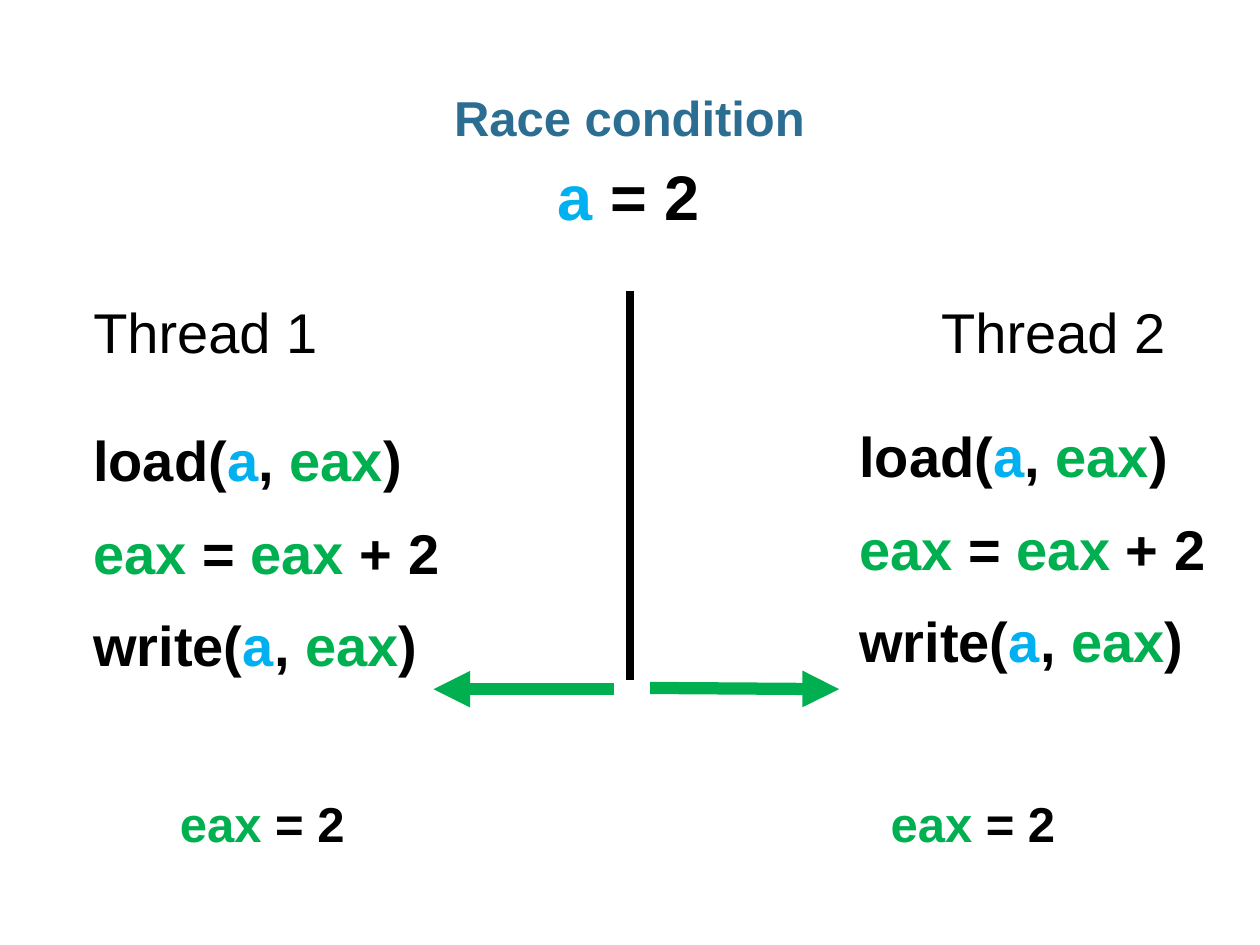
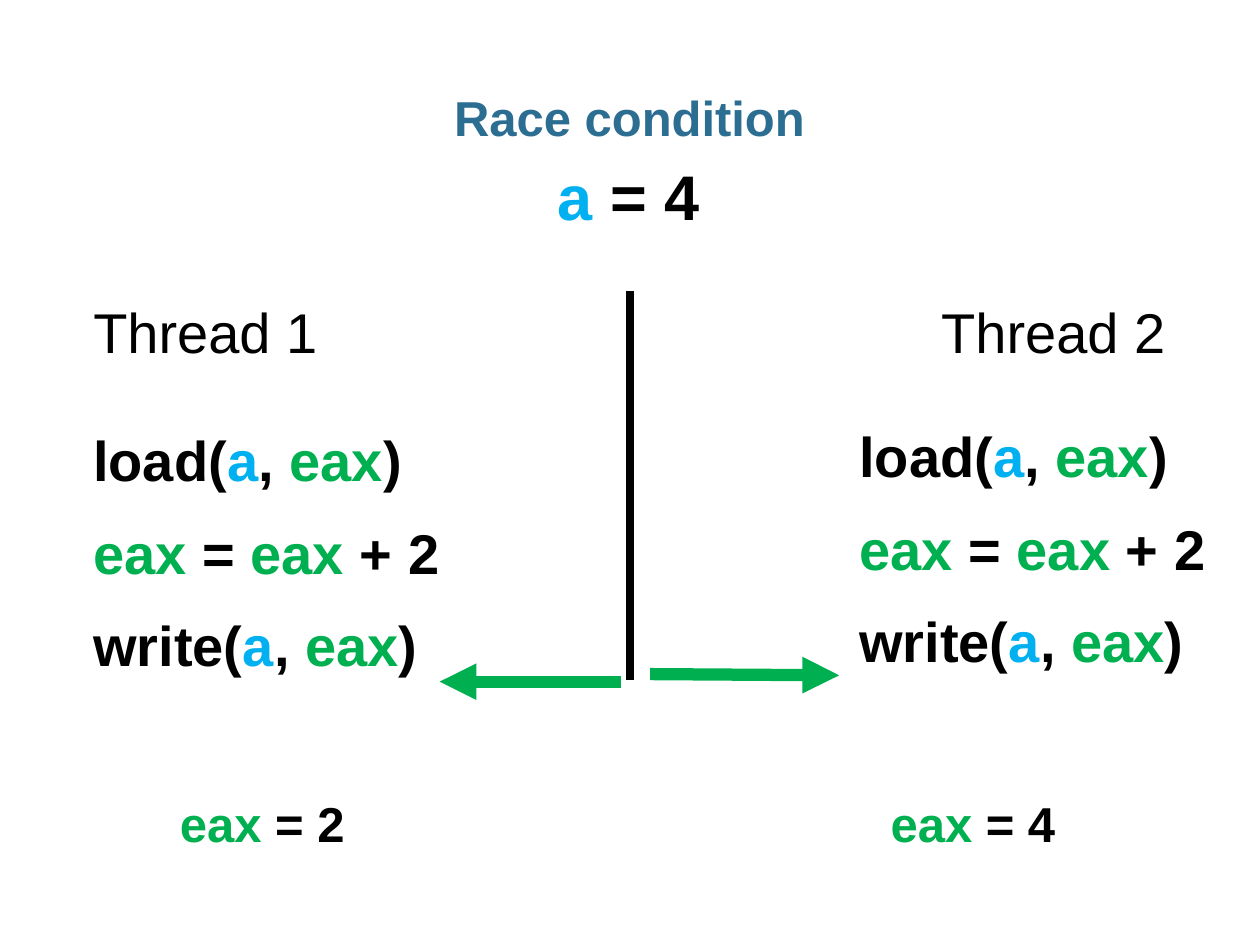
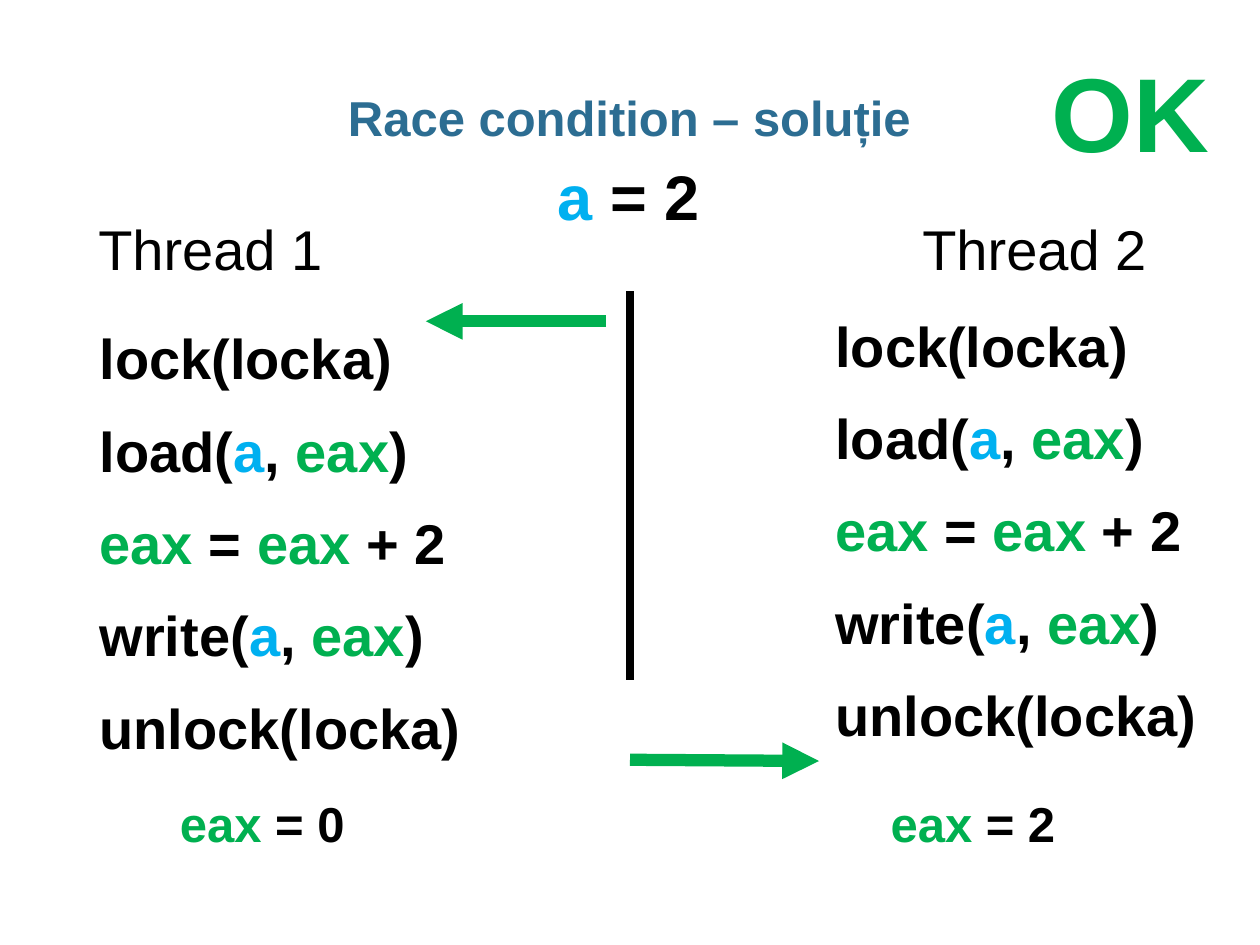
from lxml import etree
from pptx import Presentation
from pptx import util as u
from pptx.dml.color import RGBColor
from pptx.enum import shapes, text
from pptx.oxml import ns

FONT = "Arial"
BLACK, BLUE, GREEN, TITLE = "000000", "00B0F0", "00B050", "2C6D92"
WORD_COLOURS = {"a": BLUE, "eax": GREEN, "OK": GREEN}
PLAIN_INSETS = (0, 0.05)
BOX_INSETS = (0.1, 0.05)

# Each line of code is a tuple of pieces; variables get their own colour
UPDATE = [
    ("load(", "a", ", ", "eax", ")"),
    ("eax", " = ", "eax", " + 2"),
    ("write(", "a", ", ", "eax", ")"),
]
LOCKED_UPDATE = [("lock(locka)",), *UPDATE, ("unlock(locka)",)]

# Thread columns: heading, code and result places, and the arrow's ends
RACE_HEADINGS = [(0.74, 2.31), (7.47, 2.31)]
RACE_CODE = [(0.74, 3.33), (6.82, 3.3)]
RESULT_LEFTS = (1.33, 6.97)

SLIDES = [
    {"title": "Race condition", "a": 2, "eax": (2, 2), "code": UPDATE,
     "headings": RACE_HEADINGS, "code_places": RACE_CODE,
     "arrows": [(4.87, 5.47, 3.44, 5.47), (5.16, 5.46, 6.66, 5.47)]},
    {"title": "Race condition", "a": 4, "eax": (2, 4), "code": UPDATE,
     "headings": RACE_HEADINGS, "code_places": RACE_CODE,
     "arrows": [(4.93, 5.41, 3.49, 5.41), (5.16, 5.35, 6.66, 5.36)]},
    {"title": "Race condition – soluție", "a": 2, "eax": (0, 2),
     "code": LOCKED_UPDATE, "verdict": "OK",
     "headings": [(0.78, 1.65), (7.32, 1.65)],
     "code_places": [(0.79, 2.52), (6.63, 2.42)],
     "arrows": [(4.81, 2.55, 3.38, 2.55), (5, 6.03, 6.5, 6.04)]},
]


def rgb(colour):
    return RGBColor.from_string(colour)


def add_text(slide, place, lines, size, bold=True, colour=BLACK,
             insets=BOX_INSETS, wrap=True):
    """Add a text box with one paragraph for each tuple of pieces."""
    box = slide.shapes.add_textbox(*map(u.Inches, place))
    frame = box.text_frame
    frame.word_wrap = wrap
    frame.margin_left = frame.margin_right = u.Inches(insets[0])
    frame.margin_top = frame.margin_bottom = u.Inches(insets[1])
    for index, pieces in enumerate(lines):
        paragraph = frame.paragraphs[0]
        if index:
            paragraph = frame.add_paragraph()
            paragraph.space_before = u.Pt(14.4)
        for piece in pieces:
            run = paragraph.add_run()
            run.text = piece
            run.font.name = FONT
            run.font.size = u.Pt(size)
            run.font.bold = bold
            run.font.color.rgb = rgb(WORD_COLOURS.get(piece, colour))
    return frame


def add_line(slide, ends, colour, width, arrow=False):
    line = slide.shapes.add_connector(
        shapes.MSO_CONNECTOR.STRAIGHT, *map(u.Inches, ends))
    line.line.color.rgb = rgb(colour)
    line.line.width = u.Pt(width)
    if arrow:
        etree.SubElement(line.line._get_or_add_ln(), ns.qn("a:tailEnd"),
                         type="triangle")
    etree.SubElement(line._element.spPr, ns.qn("a:effectLst"))


def build_slide(presentation, content):
    slide = presentation.slides.add_slide(presentation.slide_layouts[6])

    # Title, shared variable and divider
    title = add_text(slide, (0.34, 0.68, 9.31, 0.5), [(content["title"],)], 28,
                     colour=TITLE, insets=PLAIN_INSETS).paragraphs[0]
    title.alignment = text.PP_ALIGN.CENTER
    title.line_spacing = 0.95
    add_text(slide, (4.33, 1.2, 1.34, 0.71), [("a", f" = {content['a']}")], 36,
             wrap=False)
    add_line(slide, (5, 2.31, 5, 5.4), BLACK, 5)

    # One column for each thread
    code = content["code"]
    code_height = 2.46 if code is UPDATE else 3.62
    columns = zip(content["headings"], content["code_places"],
                  content["arrows"], RESULT_LEFTS, content["eax"])
    for number, (heading, place, arrow, left, value) in enumerate(columns, 1):
        add_text(slide, (*heading, 2.59, 0.66), [(f"Thread {number}",)], 32,
                 bold=False, insets=PLAIN_INSETS)
        add_text(slide, (*place, 3.18, code_height), code, 32,
                 insets=PLAIN_INSETS)
        add_line(slide, arrow, GREEN, 7, arrow=True)
        add_text(slide, (left, 6.25, 2.1, 0.57), [("eax", f" = {value}")], 28)

    # Verdict in the corner
    if "verdict" in content:
        add_text(slide, (8.25, 0.33, 1.46, 1.11), [(content["verdict"],)], 60,
                 wrap=False)


def main():
    presentation = Presentation()
    presentation.slide_width = u.Inches(10)
    presentation.slide_height = u.Inches(7.5)
    for content in SLIDES:
        build_slide(presentation, content)
    presentation.save("out.pptx")


if __name__ == "__main__":
    main()
